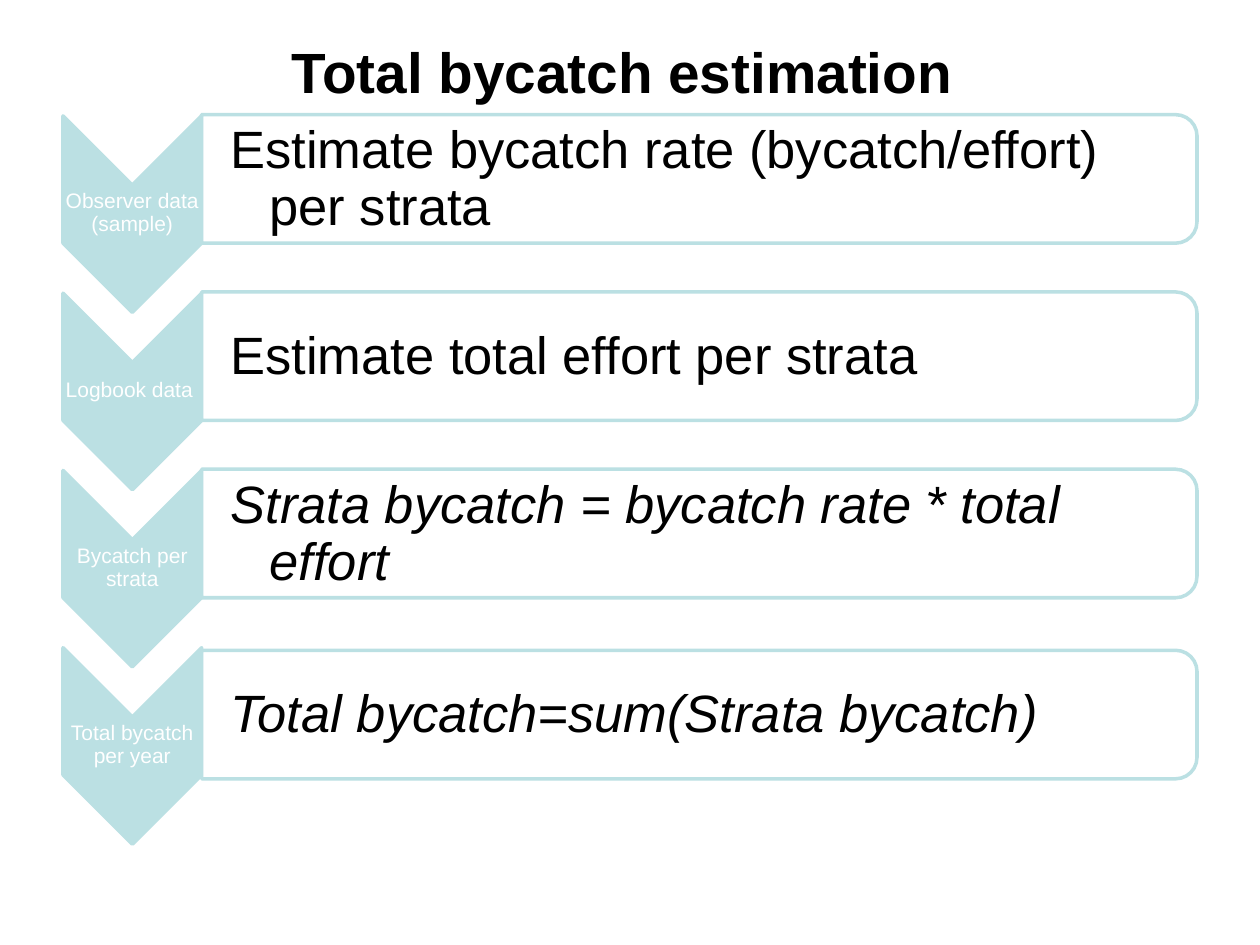
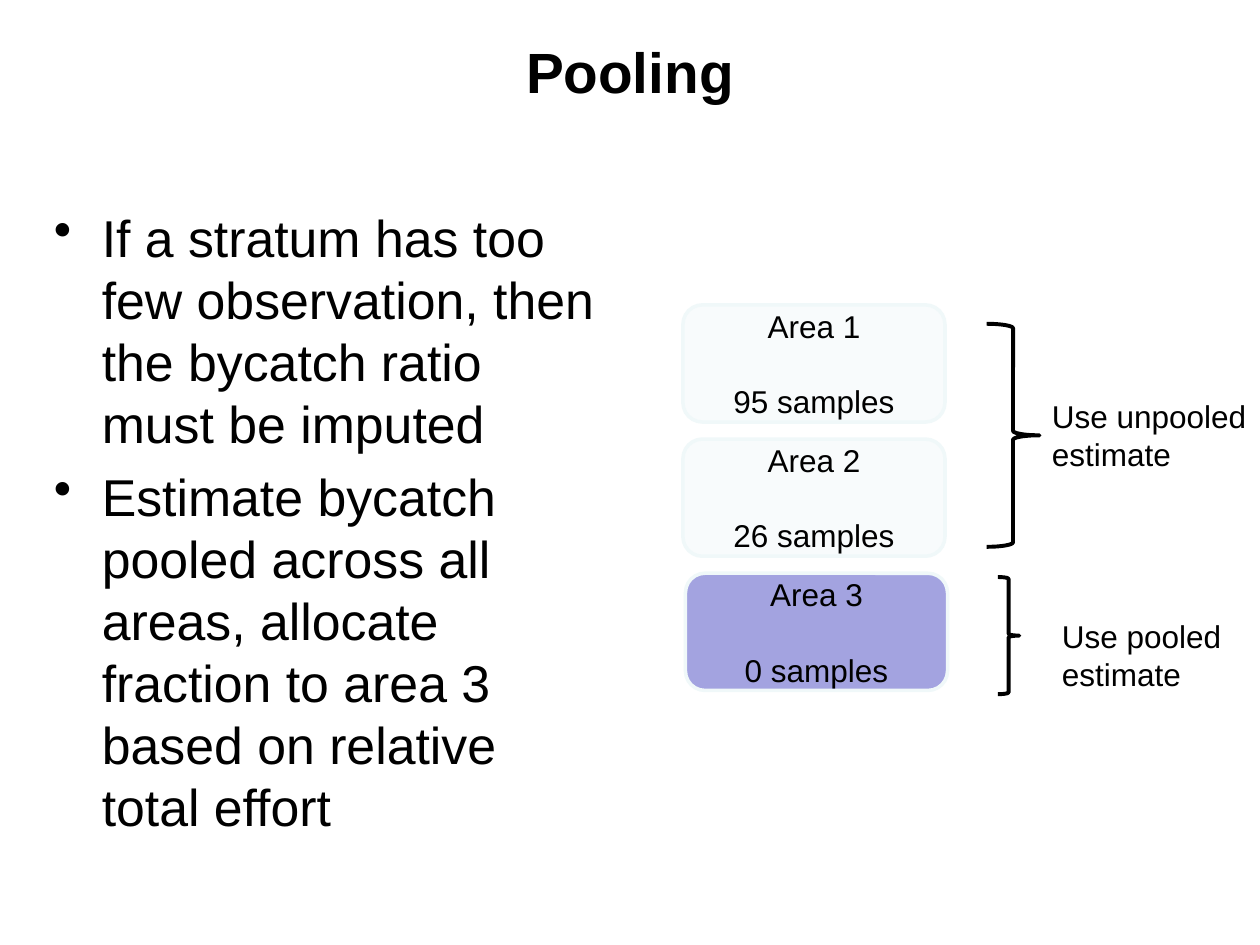
from dataclasses import dataclass
from typing import NamedTuple

from lxml import etree
from pptx import Presentation
from pptx.dml.color import RGBColor
from pptx.enum.shapes import MSO_SHAPE
from pptx.enum.text import MSO_ANCHOR, PP_ALIGN
from pptx.oxml.ns import qn
from pptx.util import Inches, Pt

CHEVRON, PANEL = MSO_SHAPE.CHEVRON, MSO_SHAPE.ROUND_2_SAME_RECTANGLE
ROUNDED, BRACE = MSO_SHAPE.ROUNDED_RECTANGLE, MSO_SHAPE.RIGHT_BRACE
TOP, MIDDLE = MSO_ANCHOR.TOP, MSO_ANCHOR.MIDDLE
LEFT, CENTER = PP_ALIGN.LEFT, PP_ALIGN.CENTER

FONT = "Arial"
COLORS = {
    "text": "000000",
    "paper": "FFFFFF",
    "step": "BBE0E3",
    "sampled": "F8FBFC",
    "unsampled": "A3A3E0",
    "area_edge": "F0F8F9",
}

# Grid: 100 columns by 75 rows over the slide
SLIDE_WIDTH, SLIDE_HEIGHT = Inches(10), Inches(7.5)
COLUMN, ROW = SLIDE_WIDTH / 100, SLIDE_HEIGHT / 75


class Box(NamedTuple):
    """A place on the grid, in columns and rows."""
    left: float
    top: float
    width: float
    height: float

    def lengths(self) -> tuple:
        return (round(self.left * COLUMN), round(self.top * ROW),
                round(self.width * COLUMN), round(self.height * ROW))

    def before_quarter_turn(self) -> "Box":
        """The box that covers this one once it is turned by 90 degrees."""
        shift = (self.width - self.height) / 2
        return Box(self.left + shift, self.top - shift, self.height, self.width)


@dataclass
class TextStyle:
    size: float
    color: str = "text"
    bold: bool = False
    italic: bool = False
    align: int = LEFT
    anchor: int = TOP
    line_spacing: float = 1.0
    gap: float = 0  # points between paragraphs
    hanging: float = 0  # inches
    bullet: str = ""
    insets: tuple = (0.1, 0.05, 0.1, 0.05)  # left, top, right, bottom


@dataclass
class Step:
    label: str
    action: str
    italic: bool = False
    panel_drop: float = 0


@dataclass
class Area:
    name: str
    samples: str
    fill: str = "sampled"
    indent: float = 0


@dataclass
class Estimate:
    text: str
    brace: Box
    label: Box


TITLE = TextStyle(32.4, bold=True, align=CENTER, anchor=MIDDLE)
STEP_LABEL = TextStyle(12, color="paper", align=CENTER, anchor=MIDDLE,
                       line_spacing=0.9, insets=(0.01,) * 4)
BULLETS = TextStyle(29.6, gap=5.9, hanging=0.38, bullet="•",
                    insets=(0.1, 0.13, 0.1, 0.05))
AREA_TEXT = TextStyle(18, align=CENTER, anchor=MIDDLE, gap=21.5)
ESTIMATE_TEXT = TextStyle(18)

STEPS = [
    Step("Observer data (sample)", "Estimate bycatch rate (bycatch/effort) per strata"),
    Step("Logbook data ", "Estimate total effort per strata"),
    Step("Bycatch per strata", "Strata bycatch = bycatch rate * total effort", True),
    Step("Total bycatch per year", "Total bycatch=sum(Strata bycatch)", True, 0.3),
]
STEP_TOP, STEP_PITCH = 9.2, 14.07

POOLING_RULES = [
    "If a stratum has too few observation, then the bycatch ratio must be imputed",
    "Estimate bycatch pooled across all areas, allocate fraction to area 3 "
    "based on relative total effort",
]
AREAS = [
    Area("Area 1", "95 samples"),
    Area("Area 2", "26 samples"),
    Area("Area 3", "0 samples", "unsampled", 0.2),
]
AREA_TOP, AREA_PITCH = 24.2, 10.65
ESTIMATES = [
    Estimate("Use pooled estimate", Box(79.2, 45.8, 1.7, 9.3), Box(83.3, 48.5, 15, 7.1)),
    Estimate("Use unpooled estimate", Box(78.3, 25.7, 4.2, 17.7), Box(82.5, 31, 17.5, 7.1)),
]


def rgb(name: str) -> RGBColor:
    return RGBColor.from_string(COLORS[name])


def write_text(shape, texts: list, style: TextStyle) -> None:
    frame = shape.text_frame
    left, top, right, bottom = map(Inches, style.insets)
    frame_format = {"word_wrap": True, "vertical_anchor": style.anchor,
                    "margin_left": left, "margin_top": top,
                    "margin_right": right, "margin_bottom": bottom}
    for name, value in frame_format.items():
        setattr(frame, name, value)

    font_format = {"name": FONT, "size": Pt(style.size),
                   "bold": style.bold, "italic": style.italic}
    for index, text in enumerate(texts):
        paragraph = frame.add_paragraph() if index else frame.paragraphs[0]
        paragraph.alignment = style.align
        paragraph.line_spacing = style.line_spacing
        paragraph.space_before = Pt(style.gap if index else 0)
        properties = paragraph._p.get_or_add_pPr()
        if style.hanging:
            properties.set("marL", str(Inches(style.hanging)))
            properties.set("indent", str(-Inches(style.hanging)))
        if style.bullet:
            bullet = etree.SubElement(properties, qn("a:buChar"))
            bullet.set("char", style.bullet)
        run = paragraph.add_run()
        run.text = text
        for name, value in font_format.items():
            setattr(run.font, name, value)
        run.font.color.rgb = rgb(style.color)


def add_text(slide, box: Box, texts: list, style: TextStyle) -> None:
    write_text(slide.shapes.add_textbox(*box.lengths()), texts, style)


def add_shape(slide, kind: int, box: Box, line: str, fill: str = "",
              line_width: float = 2, turned: bool = False):
    place = box.before_quarter_turn() if turned else box
    shape = slide.shapes.add_shape(kind, *place.lengths())
    shape.rotation = 90 if turned else 0
    shape.shadow.inherit = False
    if fill:
        shape.fill.solid()
        shape.fill.fore_color.rgb = rgb(fill)
    else:
        shape.fill.background()
    shape.line.color.rgb = rgb(line)
    shape.line.width = Pt(line_width)
    return shape


def set_opacity(shape, percent: int) -> None:
    color = shape._element.spPr.find(qn("a:solidFill")).find(qn("a:srgbClr"))
    etree.SubElement(color, qn("a:alpha")).set("val", str(percent * 1000))


def add_titled_slide(presentation, title: str):
    slide = presentation.slides.add_slide(presentation.slide_layouts[6])
    add_text(slide, Box(5, 3, 90, 5.3), [title], TITLE)
    return slide


def add_step(slide, step: Step, top: float) -> None:
    add_shape(slide, CHEVRON, Box(5, top, 11, 15.6), "step", "step", turned=True)
    add_text(slide, Box(5, top + 5.4, 11, 4.7), [step.label], STEP_LABEL)

    panel_top = top + step.panel_drop
    panel = add_shape(slide, PANEL, Box(16, panel_top - 0.1, 79, 10.2),
                      "step", "paper", turned=True)
    set_opacity(panel, 90)
    style = TextStyle(30, italic=step.italic, anchor=MIDDLE, line_spacing=0.9,
                      hanging=0.31, insets=(0.23, 0.02, 0.02, 0.02))
    add_text(slide, Box(16, panel_top + 0.5, 78.6, 9.2), [step.action], style)


def build_estimation_slide(presentation) -> None:
    slide = add_titled_slide(presentation, "Total bycatch estimation ")
    for index, step in enumerate(STEPS):
        add_step(slide, step, STEP_TOP + index * STEP_PITCH)


def build_pooling_slide(presentation) -> None:
    slide = add_titled_slide(presentation, "Pooling")
    add_text(slide, Box(3.3, 15, 45, 52.6), POOLING_RULES, BULLETS)

    # Sampled areas
    for index, area in enumerate(AREAS):
        box = Box(54.2 + area.indent, AREA_TOP + index * AREA_PITCH, 20.8, 9.3)
        shape = add_shape(slide, ROUNDED, box, "area_edge", area.fill)
        write_text(shape, [area.name, area.samples], AREA_TEXT)

    # Braces with the estimate to use
    for estimate in ESTIMATES:
        add_shape(slide, BRACE, estimate.brace, "text", line_width=2.25)
        add_text(slide, estimate.label, [estimate.text], ESTIMATE_TEXT)


def main() -> None:
    presentation = Presentation()
    presentation.slide_width, presentation.slide_height = SLIDE_WIDTH, SLIDE_HEIGHT
    build_estimation_slide(presentation)
    build_pooling_slide(presentation)
    presentation.save("out.pptx")


if __name__ == "__main__":
    main()
